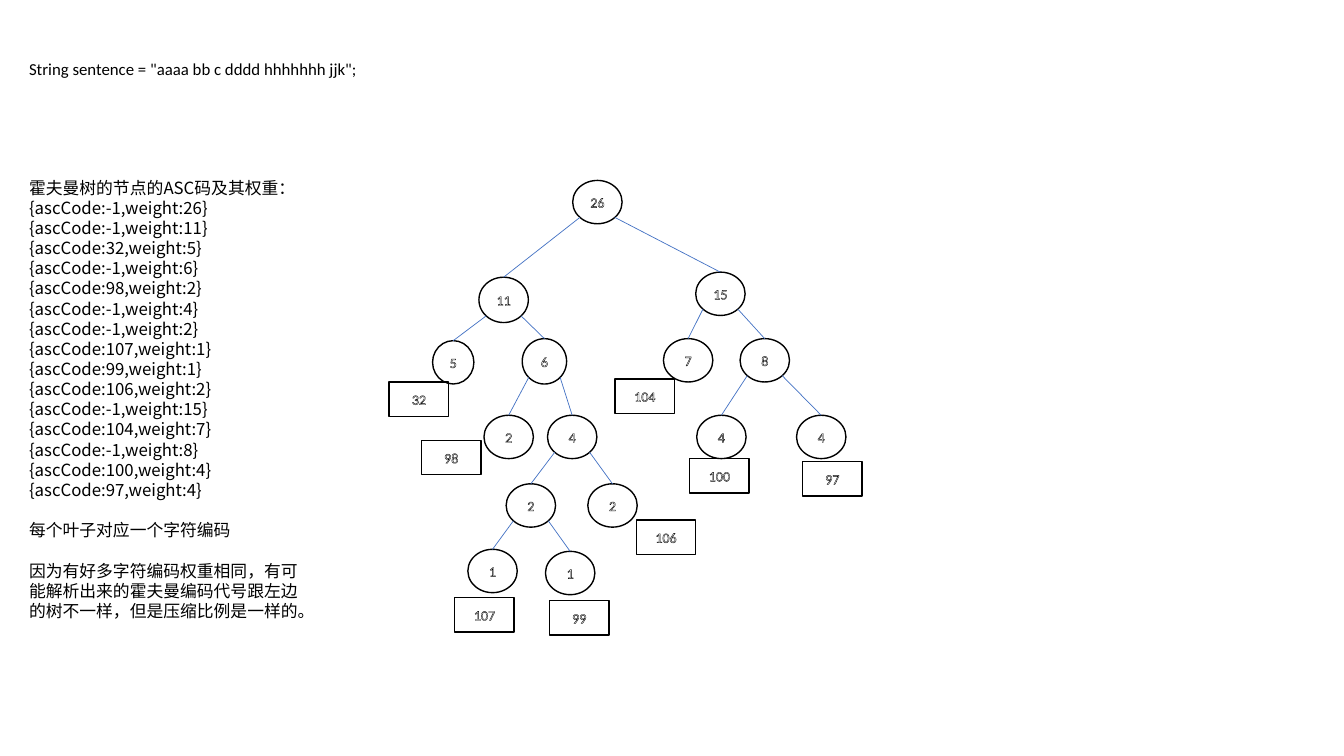
import math

import lxml.etree
import pptx
import pptx.dml.color
import pptx.enum.shapes
import pptx.enum.text
import pptx.oxml.ns
import pptx.util

COLORS = {"ink": "000000", "label": "FFFFFF", "edge": "4472C4"}
LATIN_FONT = "Calibri"
CHINESE_FONT = "Noto Sans CJK SC"
CELL = 0.1
LINE_PITCH = 14.4
NODE_SIZE = (4.9, 4.3)
CODE_SIZE = (5.9, 3.4)

SENTENCE = 'String sentence = "aaaa bb c dddd hhhhhhh jjk";'
HEADING = "霍夫曼树的节点的ASC码及其权重："
CODE_WEIGHTS = [
    (-1, 26), (-1, 11), (32, 5), (-1, 6), (98, 2), (-1, 4), (-1, 2), (107, 1),
    (99, 1), (106, 2), (-1, 15), (104, 7), (-1, 8), (100, 4), (97, 4),
]
REMARKS = [
    "每个叶子对应一个字符编码",
    "因为有好多字符编码权重相同，有可能解析出来的霍夫曼编码代号跟左边的树不一样，但是压缩比例是一样的。",
]

NODES = {
    "root": (26, 18.2, 0, NODE_SIZE),
    "left": (11, 8.9, 9.6, (4.9, 4.5)),
    "right": (15, 30.4, 9.1, NODE_SIZE),
    "space": (5, 4.3, 15.9, (4.1, 4.3)),
    "six": (6, 13.2, 15.7, (4.4, 4.5)),
    "h": (7, 27.2, 15.7, NODE_SIZE),
    "eight": (8, 34.8, 15.7, NODE_SIZE),
    "b": (2, 9.4, 23.3, NODE_SIZE),
    "four": (4, 15.7, 23.3, NODE_SIZE),
    "d": (4, 30.5, 23.3, NODE_SIZE),
    "a": (4, 40.4, 23.3, NODE_SIZE),
    "two": (2, 11.6, 30.1, NODE_SIZE),
    "j": (2, 19.7, 30.1, NODE_SIZE),
    "k": (1, 7.8, 36.6, NODE_SIZE),
    "c": (1, 15.5, 36.8, NODE_SIZE),
}
CHILDREN = {
    "root": ("left", "right"),
    "left": ("space", "six"),
    "right": ("h", "eight"),
    "six": ("b", "four"),
    "eight": ("d", "a"),
    "four": ("two", "j"),
    "two": ("k", "c"),
}
CODES = [
    (107, 6.5, 41.4), (99, 15.9, 41.7), (32, 0, 20), (98, 3.2, 25.8),
    (106, 24.5, 33.7), (104, 22.4, 19.7), (100, 29.8, 27.6), (97, 41, 27.9),
]


def cells(*counts):
    return [pptx.util.Inches(count * CELL) for count in counts]


def color(name):
    return pptx.dml.color.RGBColor.from_string(COLORS[name])


def write(para, text, size=12, font=LATIN_FONT, fill="ink", outline=None,
          align=None, pitch=None, before=0):
    para.alignment = align
    para.space_before = pptx.util.Pt(before)
    if pitch:
        para.line_spacing = pptx.util.Pt(pitch)
    span = para.add_run()
    span.text = text
    span.font.size = pptx.util.Pt(size)
    span.font.name = font
    span.font.color.rgb = color(fill)
    properties = span.font._element
    if outline:
        line = lxml.etree.Element(pptx.oxml.ns.qn("a:ln"), w="12700")
        solid = lxml.etree.SubElement(line, pptx.oxml.ns.qn("a:solidFill"))
        lxml.etree.SubElement(solid, pptx.oxml.ns.qn("a:srgbClr"), val=COLORS[outline])
        properties.insert(0, line)
    latin = properties.find(pptx.oxml.ns.qn("a:latin"))
    latin.addnext(lxml.etree.Element(pptx.oxml.ns.qn("a:ea"), typeface=CHINESE_FONT))


def add_text_frame(page, box):
    frame = page.shapes.add_textbox(*cells(*box)).text_frame
    frame.word_wrap = True
    return frame


def add_sentence(page, box):
    write(add_text_frame(page, box).paragraphs[0], SENTENCE)


def add_notes_column(page, box):
    frame = add_text_frame(page, box)
    style = {"font": CHINESE_FONT, "pitch": LINE_PITCH}
    write(frame.paragraphs[0], HEADING, **style)
    for code, weight in CODE_WEIGHTS:
        write(frame.add_paragraph(), f"{{ascCode:{code},weight:{weight}}}", **style)
    for remark in REMARKS:
        write(frame.add_paragraph(), remark, before=LINE_PITCH, **style)


def add_label(page, kind, text, left, top, size):
    shape = page.shapes.add_shape(kind, *cells(left, top, *size))
    shape.shadow.inherit = False
    shape.fill.background()
    shape.line.color.rgb = color("ink")
    shape.line.width = pptx.util.Pt(1)
    frame = shape.text_frame
    frame.margin_left = frame.margin_right = frame.margin_top = frame.margin_bottom = 0
    frame.vertical_anchor = pptx.enum.text.MSO_ANCHOR.MIDDLE
    write(frame.paragraphs[0], str(text), size=10, fill="label", outline="ink",
          align=pptx.enum.text.PP_ALIGN.CENTER)
    return shape


def add_edge(page, parent, child, side):
    reach = math.sqrt(0.5) / 2
    start_x = parent.left + parent.width * (0.5 + side * reach)
    start_y = parent.top + parent.height * (0.5 + reach)
    edge = page.shapes.add_connector(
        pptx.enum.shapes.MSO_CONNECTOR.STRAIGHT, round(start_x), round(start_y),
        child.left + child.width // 2, child.top)
    edge.line.color.rgb = color("edge")
    edge.line.width = pptx.util.Pt(0.5)
    lxml.etree.SubElement(edge._element.spPr, pptx.oxml.ns.qn("a:effectLst"))


def add_tree(page, box):
    left, top = box
    kinds = pptx.enum.shapes.MSO_SHAPE
    circles = {
        name: add_label(page, kinds.OVAL, weight, left + column, top + row, size)
        for name, (weight, column, row, size) in NODES.items()
    }
    for parent, children in CHILDREN.items():
        for child, side in zip(children, (-1, 1)):
            add_edge(page, circles[parent], circles[child], side)
    for code, column, row in CODES:
        add_label(page, kinds.RECTANGLE, code, left + column, top + row, CODE_SIZE)


def main():
    deck = pptx.Presentation()
    deck.slide_width = pptx.util.Inches(13.33)
    deck.slide_height = pptx.util.Inches(7.5)
    page = deck.slides.add_slide(deck.slide_layouts[6])
    add_notes_column(page, (1.9, 17.1, 29.3, 45.4))
    add_tree(page, (38.6, 17.9))
    add_sentence(page, (1.9, 5.3, 36.7, 3))
    deck.save("out.pptx")


if __name__ == "__main__":
    main()
